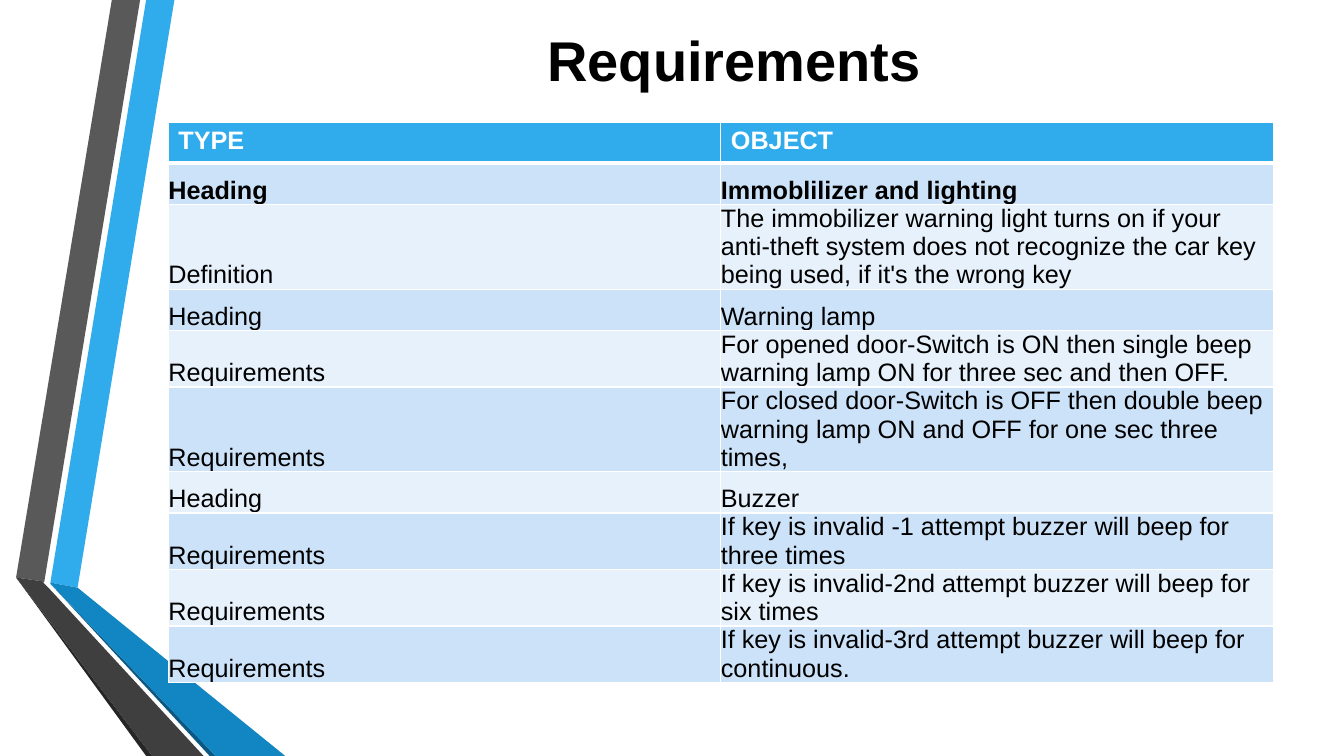
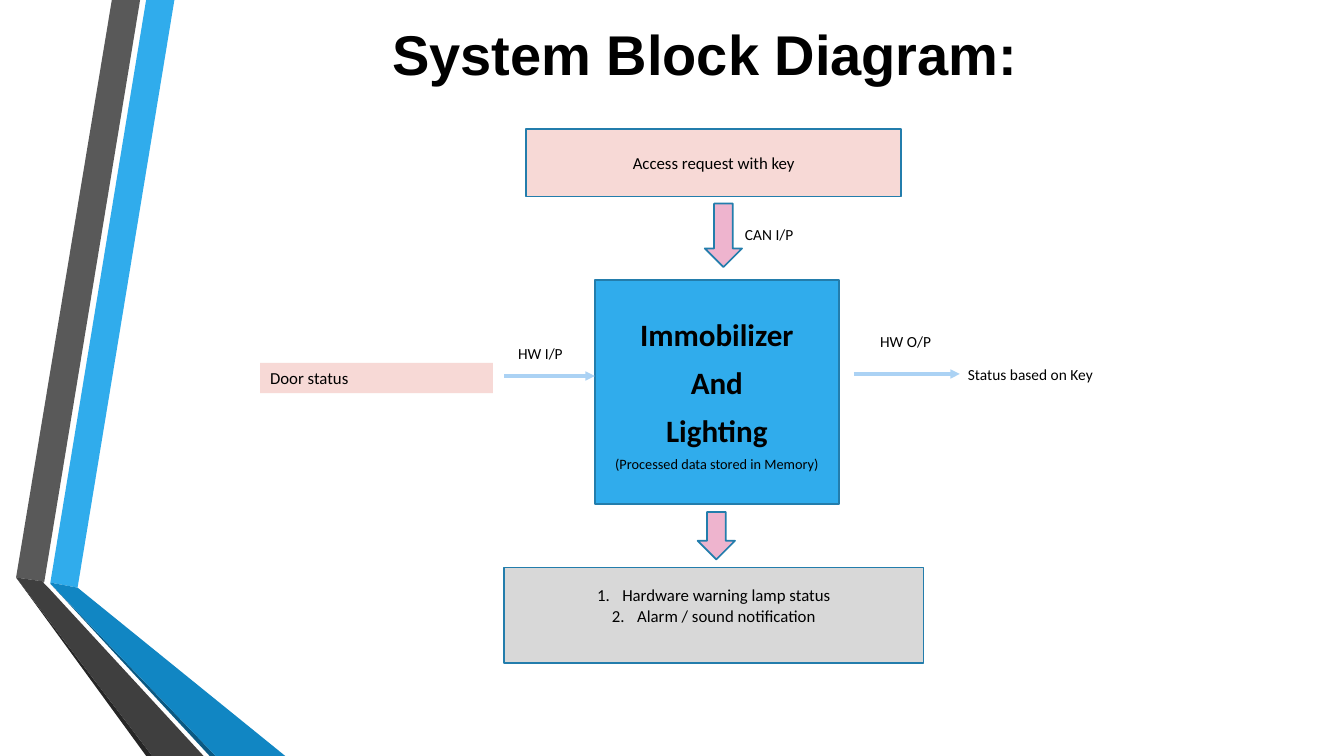
from dataclasses import dataclass

from lxml import etree
from pptx import Presentation
from pptx.dml.color import RGBColor
from pptx.enum import shapes, text
from pptx.oxml import ns
from pptx.presentation import Presentation as Deck
from pptx.slide import Slide
from pptx.util import Emu, Pt

PX = 9144  # EMU per px, 100 px to the inch


@dataclass(frozen=True)
class Theme:
    ink: str = "000000"
    paper: str = "FFFFFF"
    blue: str = "30ACEC"
    blue_deep: str = "1186C3"
    blue_dark: str = "0B5982"
    outline: str = "237DAC"
    arrow: str = "ABD2F4"
    grey: str = "595959"
    grey_deep: str = "3F3F3F"
    grey_dark: str = "262626"
    grey_light: str = "D8D8D8"
    rose: str = "F7D9D6"
    pink: str = "EEB4CE"
    row_odd: str = "CCE2F8"
    row_even: str = "E7F1FB"
    head_font: str = "Arial"
    body_font: str = "Calibri"
    title_size: float = 40
    table_size: float = 18
    core_size: float = 22.2
    box_size: float = 12
    label_size: float = 11
    note_size: float = 10.2


T = Theme()


@dataclass(frozen=True)
class Rect:
    x: int
    y: int
    w: int
    h: int

    def emu(self) -> tuple[Emu, ...]:
        return tuple(Emu(v * PX) for v in (self.x, self.y, self.w, self.h))


@dataclass(frozen=True)
class Band:
    color: str
    points: tuple[tuple[int, int], ...]


@dataclass(frozen=True)
class Box:
    at: Rect
    fill: str
    line: str | None = None
    lines: tuple[str, ...] = ()
    align: text.PP_ALIGN = text.PP_ALIGN.CENTER
    numbered: bool = False
    bottom: int = 5
    kind: shapes.MSO_SHAPE = shapes.MSO_SHAPE.RECTANGLE


@dataclass(frozen=True)
class Label:
    at: Rect
    words: str


@dataclass(frozen=True)
class Arrow:
    x1: int
    x2: int
    y: int


BANDS = (
    Band(T.blue, ((50, 578), (77, 583), (173, 0), (145, 0))),
    Band(T.grey, ((139, 0), (111, 0), (16, 573), (44, 577))),
    Band(T.grey_dark, ((16, 573), (145, 750), (151, 750))),
    Band(T.blue_dark, ((50, 579), (208, 750), (214, 750))),
    Band(T.blue_deep, ((50, 579), (214, 750), (283, 750), (77, 583), (50, 578))),
    Band(T.grey_deep, ((202, 750), (48, 583), (43, 578), (44, 577), (16, 573), (151, 750))),
)

REQUIREMENTS = (
    ("TYPE", "OBJECT"),
    ("Heading", "Immoblilizer and lighting"),
    ("Definition", "The immobilizer warning light turns on if your anti-theft system "
                   "does not recognize the car key being used, if it's the wrong key"),
    ("Heading", "Warning lamp"),
    ("Requirements", "For opened door-Switch is ON then single beep warning lamp ON "
                     "for three sec and then OFF."),
    ("Requirements", "For closed door-Switch is OFF then double beep warning lamp ON "
                     "and OFF for one sec three times,"),
    ("Heading", "Buzzer"),
    ("Requirements", "If key is invalid -1 attempt buzzer will beep for three times"),
    ("Requirements", "If key is invalid-2nd attempt buzzer will beep for six times"),
    ("Requirements", "If key is invalid-3rd attempt buzzer will beep for continuous."),
)

BOXES = (
    Box(Rect(500, 563, 416, 95), T.grey_light, T.outline,
        ("Hardware warning lamp status", "Alarm / sound notification"),
        numbered=True, bottom=25),
    Box(Rect(258, 360, 231, 30), T.rose, None, ("Door status",), text.PP_ALIGN.LEFT),
    Box(Rect(522, 128, 372, 67), T.rose, T.outline, ("Access request with key",)),
    Box(Rect(692, 508, 37, 47), T.pink, T.outline, kind=shapes.MSO_SHAPE.DOWN_ARROW),
    Box(Rect(699, 202, 37, 63), T.pink, T.outline, kind=shapes.MSO_SHAPE.DOWN_ARROW),
)

LABELS = (
    Label(Rect(950, 357, 185, 29), "Status based on Key"),
    Label(Rect(729, 218, 106, 29), "CAN I/P"),
    Label(Rect(863, 325, 106, 29), "HW O/P"),
    Label(Rect(504, 336, 106, 29), "HW I/P"),
)

ARROWS = (Arrow(847, 952, 371), Arrow(500, 590, 373))


def rgb(color: str) -> RGBColor:
    return RGBColor.from_string(color)


def place(sp, at: Rect) -> None:
    sp.left, sp.top, sp.width, sp.height = at.emu()


def paint(sp, fill: str, line: str | None = None) -> None:
    sp.fill.solid()
    sp.fill.fore_color.rgb = rgb(fill)
    if line:
        sp.line.color.rgb = rgb(line)
        sp.line.width = Pt(1.25)
    else:
        sp.line.fill.background()


def frame(tf, *, anchor=text.MSO_ANCHOR.MIDDLE, fit=text.MSO_AUTO_SIZE.NONE,
          top: int = 5, bottom: int = 5) -> None:
    tf.word_wrap = True
    tf.auto_size = fit
    tf.vertical_anchor = anchor
    tf.margin_left = tf.margin_right = Emu(10 * PX)
    tf.margin_top, tf.margin_bottom = Emu(top * PX), Emu(bottom * PX)


def write(tf, words: str, *, size: float, font: str = T.body_font, color: str = T.ink,
          bold: bool = False, align=text.PP_ALIGN.LEFT, spacing: float = 1.0,
          before: float = 0, numbered: bool = False) -> None:
    """Add one paragraph, using the first one while the frame is empty."""
    p = tf.add_paragraph() if tf.text else tf.paragraphs[0]
    p.alignment, p.line_spacing, p.space_before = align, spacing, Pt(before)
    r = p.add_run()
    r.text = words
    r.font.size, r.font.name, r.font.bold = Pt(size), font, bold
    r.font.color.rgb = rgb(color)
    pPr = p._p.get_or_add_pPr()
    indent = 25 * PX if numbered else 0
    pPr.set("marL", str(indent))
    pPr.set("indent", str(-indent))
    if numbered:
        clr = etree.SubElement(pPr, ns.qn("a:buClr"))
        etree.SubElement(clr, ns.qn("a:srgbClr"), val=color)
        etree.SubElement(pPr, ns.qn("a:buAutoNum"), type="arabicPeriod")
    else:
        etree.SubElement(pPr, ns.qn("a:buNone"))


def add_titled_slide(prs: Deck, layout: int, title: str, at: Rect) -> Slide:
    s = prs.slides.add_slide(prs.slide_layouts[layout])
    place(s.shapes.title, at)
    tf = s.shapes.title.text_frame
    frame(tf)
    write(tf, title, size=T.title_size, font=T.head_font, bold=True,
          align=text.PP_ALIGN.CENTER)
    return s


def move_bands_to_master(prs: Deck, s: Slide) -> None:
    """Draw the bands on a slide, then hand them to the master behind its placeholders."""
    tree = prs.slide_master.shapes.element
    for i, band in enumerate(BANDS):
        start, *rest = band.points
        builder = s.shapes.build_freeform(*start, scale=PX)
        builder.add_line_segments(rest, close=True)
        sp = builder.convert_to_shape()
        sp.shadow.inherit = False
        paint(sp, band.color)
        sp.element.xpath("p:nvSpPr/p:cNvPr")[0].set("id", str(100 + i))
        tree.insert(2 + i, sp.element)


def set_borders(cell, *, top: float = 1, bottom: float = 1) -> None:
    tcPr = cell._tc.get_or_add_tcPr()
    for side, width in (("L", 1), ("R", 1), ("T", top), ("B", bottom)):
        ln = etree.SubElement(tcPr, ns.qn(f"a:ln{side}"), w=str(Pt(width)))
        fill = etree.SubElement(ln, ns.qn("a:solidFill"))
        etree.SubElement(fill, ns.qn("a:srgbClr"), val=T.paper)


def add_requirements(s: Slide) -> None:
    row_h, col_w = 41, 548
    n = len(REQUIREMENTS)
    at = Rect(167, 121, 2 * col_w, n * row_h)
    table = s.shapes.add_table(n, 2, *at.emu()).table
    for i, row in enumerate(REQUIREMENTS):
        header = i == 0
        fill = T.blue if header else (T.row_odd if i % 2 else T.row_even)
        for j, words in enumerate(row):
            cell = table.cell(i, j)
            set_borders(cell, top=3 if i == 1 else 1, bottom=3 if header else 1)
            cell.fill.solid()
            cell.fill.fore_color.rgb = rgb(fill)
            cell.margin_left = cell.margin_right = Emu(10 * PX if header else 0)
            cell.margin_top = cell.margin_bottom = Emu(5 * PX if header else 0)
            cell.vertical_anchor = text.MSO_ANCHOR.TOP if header else text.MSO_ANCHOR.BOTTOM
            write(cell.text_frame, words, size=T.table_size, font=T.head_font,
                  color=T.paper if header else T.ink, bold=i < 2)


def fill_core(s: Slide) -> None:
    sp = s.placeholders[1]
    place(sp, Rect(590, 278, 242, 222))
    paint(sp, T.blue, T.outline)
    tf = sp.text_frame
    frame(tf, top=13)
    for words in ("Immobilizer", "And", "Lighting"):
        write(tf, words, size=T.core_size, bold=True, align=text.PP_ALIGN.CENTER,
              spacing=0.9, before=10.4)
    write(tf, "(Processed data stored in Memory)", size=T.note_size,
          align=text.PP_ALIGN.CENTER, spacing=0.9, before=6)


def add_box(s: Slide, box: Box) -> None:
    sp = s.shapes.add_shape(box.kind, *box.at.emu())
    sp.shadow.inherit = False
    paint(sp, box.fill, box.line)
    frame(sp.text_frame, bottom=box.bottom)
    for words in box.lines:
        write(sp.text_frame, words, size=T.box_size, align=box.align, numbered=box.numbered)


def add_label(s: Slide, label: Label) -> None:
    tf = s.shapes.add_textbox(*label.at.emu()).text_frame
    frame(tf, anchor=text.MSO_ANCHOR.TOP, fit=text.MSO_AUTO_SIZE.SHAPE_TO_FIT_TEXT)
    write(tf, label.words, size=T.label_size)


def add_arrow(s: Slide, arrow: Arrow) -> None:
    ends = (arrow.x1, arrow.y, arrow.x2, arrow.y)
    c = s.shapes.add_connector(shapes.MSO_CONNECTOR.STRAIGHT, *(Emu(v * PX) for v in ends))
    c.line.color.rgb = rgb(T.arrow)
    c.line.width = Pt(2.25)
    etree.SubElement(c.line._get_or_add_ln(), ns.qn("a:tailEnd"), type="triangle")
    etree.SubElement(c.element.spPr, ns.qn("a:effectLst"))


def main() -> None:
    prs = Presentation()
    prs.slide_width, prs.slide_height = Emu(1333 * PX), Emu(750 * PX)

    s = add_titled_slide(prs, 5, "Requirements", Rect(180, 15, 1096, 88))
    move_bands_to_master(prs, s)
    add_requirements(s)

    s = add_titled_slide(prs, 1, "System Block Diagram:", Rect(151, 0, 1096, 105))
    fill_core(s)
    for box in BOXES:
        add_box(s, box)
    for label in LABELS:
        add_label(s, label)
    for arrow in ARROWS:
        add_arrow(s, arrow)

    prs.save("out.pptx")


if __name__ == "__main__":
    main()
